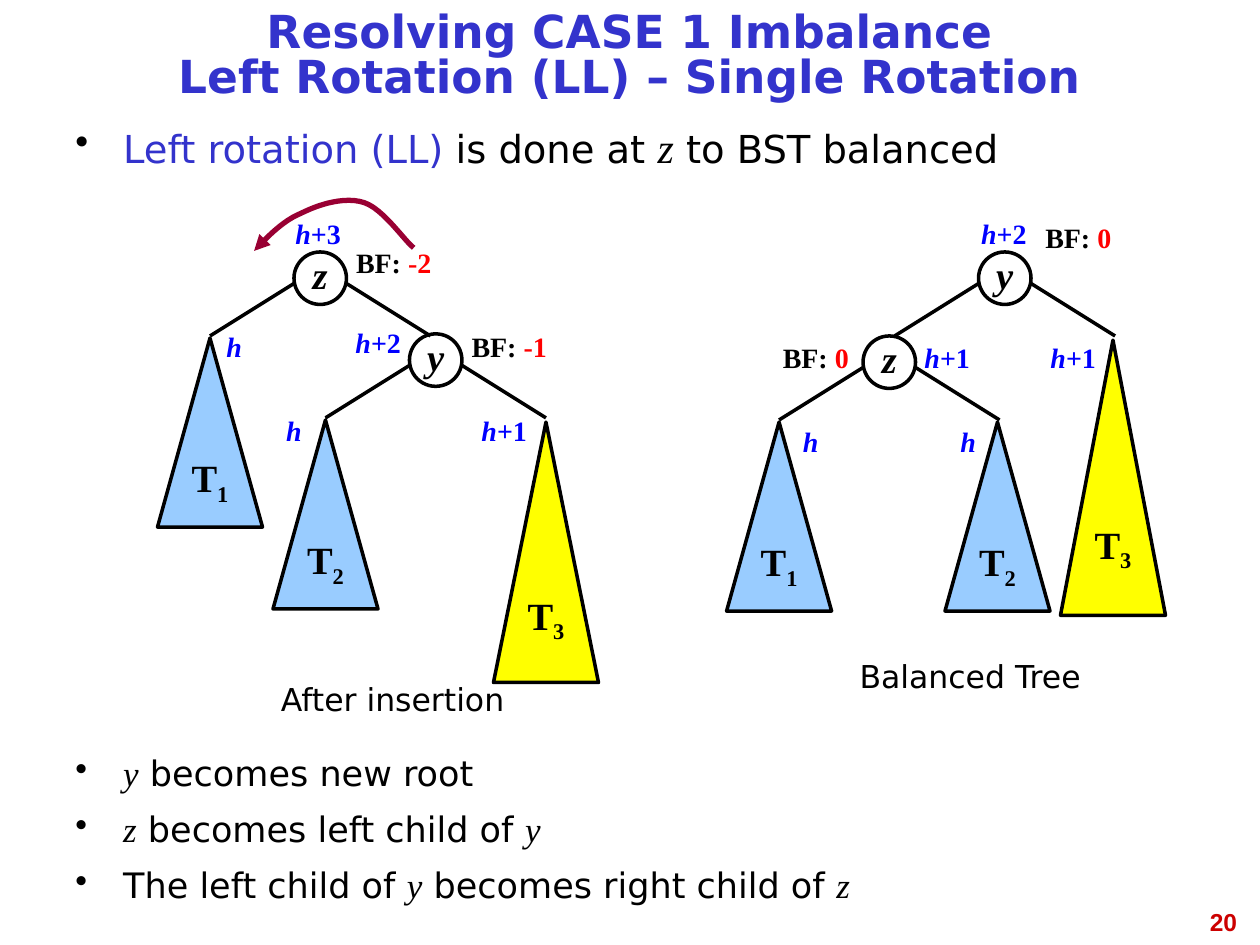
from dataclasses import dataclass, replace
from lxml import etree
from pptx import Presentation
from pptx import util as u
from pptx.dml.color import RGBColor
from pptx.enum import shapes, text
from pptx.oxml.ns import qn

BLACK = RGBColor(0x00, 0x00, 0x00)
INDIGO = RGBColor(0x33, 0x33, 0xCC)
BLUE = RGBColor(0x00, 0x00, 0xFF)
RED = RGBColor(0xFF, 0x00, 0x00)
CRIMSON = RGBColor(0xCC, 0x00, 0x00)
WINE = RGBColor(0x99, 0x00, 0x33)
SKY = RGBColor(0x99, 0xCC, 0xFF)
YELLOW = RGBColor(0xFF, 0xFF, 0x00)

COLS, ROWS = 120, 90
ALIGN = text.PP_ALIGN


@dataclass(frozen=True)
class Look:
    size: int
    font: str = "DejaVu Sans"
    color: RGBColor = BLACK
    bold: bool = False
    slant: bool = False
    base: int = 0


TITLE = Look(26, color=INDIGO, bold=True)
LEAD = Look(22)
POINT = Look(20)
NOTE = Look(18)
PAGE = Look(14, "Arial", CRIMSON, True)
NODE = Look(22, "Times New Roman", bold=True)
SUB = replace(NODE, base=-25000)
NAME = replace(NODE, slant=True)
VAR = Look(20, "Times New Roman", slant=True)
FACTOR = Look(16, "Times New Roman", bold=True)
VALUE = replace(FACTOR, color=RED)
PLAIN = replace(FACTOR, color=BLUE)
HEIGHT = replace(PLAIN, slant=True)


class Board:
    def __init__(self, deck):
        self.deck = deck
        self.slide = deck.slides.add_slide(deck.slide_layouts[6])
        self.shapes = self.slide.shapes

    def x(self, cols):
        return round(self.deck.slide_width * cols / COLS)

    def y(self, rows):
        return round(self.deck.slide_height * rows / ROWS)

    def area(self, left, top, width, height):
        return self.x(left), self.y(top), self.x(width), self.y(height)

    def fill_in(self, para, runs, align=ALIGN.CENTER):
        para.alignment = align
        for words, look in runs:
            run = para.add_run()
            run.text = words
            font = run.font
            font.size, font.name = u.Pt(look.size), look.font
            font.bold, font.italic = look.bold, look.slant
            font.color.rgb = look.color
            if look.base:
                font._element.set("baseline", str(look.base))

    def box(self, area, runs, align=ALIGN.CENTER):
        frame = self.shapes.add_textbox(*self.area(*area)).text_frame
        frame.word_wrap = True
        self.fill_in(frame.paragraphs[0], runs, align)
        return frame

    def title(self, area, lines):
        frame = self.box(area, [(lines[0], TITLE)])
        frame.vertical_anchor = text.MSO_ANCHOR.MIDDLE
        para = frame.paragraphs[0]
        para.line_spacing = 0.81
        for line in lines[1:]:
            para.add_line_break()
            self.fill_in(para, [(line, TITLE)])

    def points(self, area, items):
        frame = self.box(area, [])
        for i, runs in enumerate(items):
            para = frame.add_paragraph() if i else frame.paragraphs[0]
            props = para._p.get_or_add_pPr()
            props.set("marL", str(u.Inches(0.38)))
            props.set("indent", str(-u.Inches(0.38)))
            tint = etree.SubElement(props, qn("a:buClr"))
            etree.SubElement(tint, qn("a:srgbClr"), val=str(BLACK))
            etree.SubElement(props, qn("a:buChar"), char="•")
            if i:
                para.space_before = u.Pt(8)
            self.fill_in(para, runs, ALIGN.JUSTIFY)

    def label(self, left, top, runs, width=10):
        self.box((left, top, width, 4.4), runs)

    def factor(self, left, top, value):
        self.label(left, top, [("BF: ", FACTOR), (value, VALUE)], 13)

    def shape(self, kind, area, runs, fill=None):
        item = self.shapes.add_shape(kind, *self.area(*area))
        item.shadow.inherit = False
        if fill is None:
            item.fill.background()
        else:
            item.fill.solid()
            item.fill.fore_color.rgb = fill
        item.line.color.rgb = BLACK
        item.line.width = u.Pt(2)
        frame = item.text_frame
        frame.word_wrap = False
        frame.vertical_anchor = text.MSO_ANCHOR.MIDDLE
        para = frame.paragraphs[0]
        para.line_spacing = 0.81
        self.fill_in(para, runs)

    def branch(self, left, top, right, low):
        line = self.shapes.add_connector(
            shapes.MSO_CONNECTOR.STRAIGHT,
            self.x(left), self.y(top), self.x(right), self.y(low))
        line.line.color.rgb = BLACK
        line.line.width = u.Pt(2)
        etree.SubElement(line._element.spPr, qn("a:effectLst"))

    def node(self, left, top, name):
        self.branch(left, top + 3, left - 8, top + 8)
        self.branch(left + 5, top + 3, left + 13, top + 8)
        self.shape(shapes.MSO_SHAPE.OVAL, (left, top, 5, 5), [(name, NAME)])

    def tree(self, apex, top, mark, height=18, fill=SKY):
        self.shape(shapes.MSO_SHAPE.ISOSCELES_TRIANGLE,
                   (apex - 5, top, 10, height),
                   [("T", NODE), (mark, SUB)], fill)

    def arc(self, start, curves, steps=12):
        spots, last = [], start
        for a, b, end in curves:
            for step in range(1, steps + 1):
                t = step / steps
                s = 1 - t
                spots.append(tuple(
                    s**3 * p + 3 * s * s * t * q + 3 * s * t * t * r + t**3 * e
                    for p, q, r, e in zip(last, a, b, end)))
            last = end
        pen = self.shapes.build_freeform(self.x(start[0]), self.y(start[1]))
        pen.add_line_segments([(self.x(c), self.y(r)) for c, r in spots], False)
        item = pen.convert_to_shape()
        item.shadow.inherit = False
        item.fill.background()
        item.line.color.rgb = WINE
        item.line.width = u.Pt(3)
        etree.SubElement(item.line._get_or_add_ln(), qn("a:headEnd"),
                         type="triangle")


def main():
    deck = Presentation()
    deck.slide_width, deck.slide_height = u.Inches(10), u.Inches(7.5)
    board = Board(deck)

    board.box((91, 85.8, 28, 6.2), [("20", PAGE)], ALIGN.RIGHT)
    board.title((6, 1, 108, 9), ["Resolving CASE 1 Imbalance",
                                 "Left Rotation (LL) – Single Rotation"])
    board.points((6, 11, 108, 7), [[
        ("Left rotation (LL)", replace(LEAD, color=INDIGO)),
        (" is done at ", LEAD), ("z", replace(VAR, size=24)),
        (" to BST balanced", LEAD)]])
    board.points((6, 71, 108, 16), [
        [("y", VAR), (" becomes new root", POINT)],
        [("z", VAR), (" becomes left child of ", POINT), ("y", VAR)],
        [("The left child of ", POINT), ("y", VAR),
         (" becomes right child of ", POINT), ("z", VAR)]])

    for left, top, name in [(28, 24, "z"), (39, 31.8, "y"),
                            (93.2, 24, "y"), (82.2, 32, "z")]:
        board.node(left, top, name)
    for apex, top, mark in [(20, 32.2, "1"), (31, 40, "2"),
                            (74.2, 40.2, "1"), (95, 40.2, "2")]:
        board.tree(apex, top, mark)
    board.tree(52, 40.2, "3", 24.8, YELLOW)
    board.tree(106, 32.4, "3", 26.2, YELLOW)

    for left, top, width in [(16.3, 30.8, 12), (23, 38.8, 10),
                             (72.2, 39.8, 10), (86.2, 39.8, 12)]:
        board.label(left, top, [("h", HEIGHT)], width)
    for left, top, value in [(31, 30.4, "2"), (43, 38.8, "1"),
                             (85.2, 31.8, "1"), (97.2, 31.8, "1")]:
        board.label(left, top, [("h+", HEIGHT), (value, PLAIN)])
    for left, value in [(25.3, "+3"), (90.6, "+2")]:
        board.label(left, 20, [("h", HEIGHT), (value, PLAIN)])
    for left, top, value in [(31, 22.8, "-2"), (42, 30.8, "-1"),
                             (71.2, 31.8, "0"), (96.2, 20.4, "0")]:
        board.factor(left, top, value)

    board.arc((24.2, 23.9), [
        ((25.6, 22.4), (27, 21), (28.7, 20.3)),
        ((30.5, 19.4), (32.9, 18.7), (34.7, 19.3)),
        ((36.5, 19.9), (38.5, 22.9), (39.4, 23.6))])
    for left, top, words in [(19.8, 64.2, "After insertion"),
                             (74.8, 62, "Balanced Tree")]:
        board.label(left, top, [(words, NOTE)], 35.2)

    deck.save("out.pptx")


if __name__ == "__main__":
    main()
